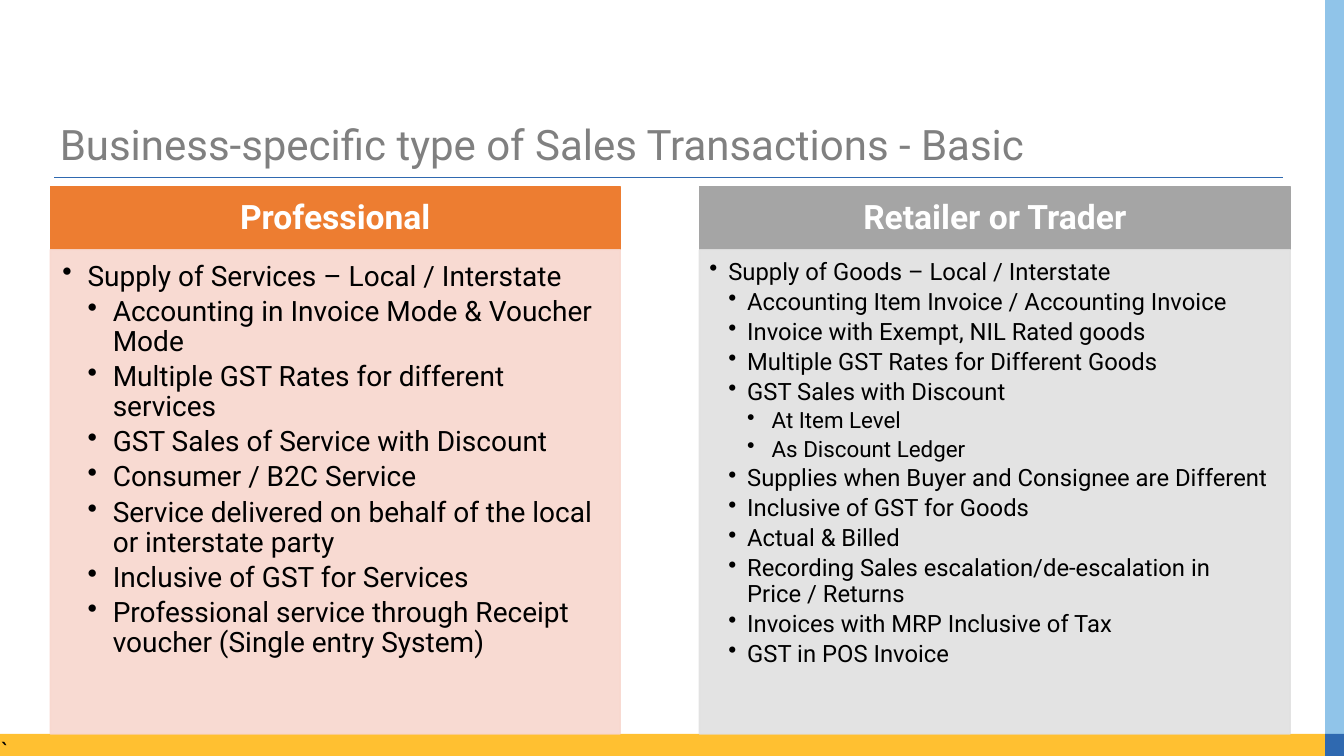
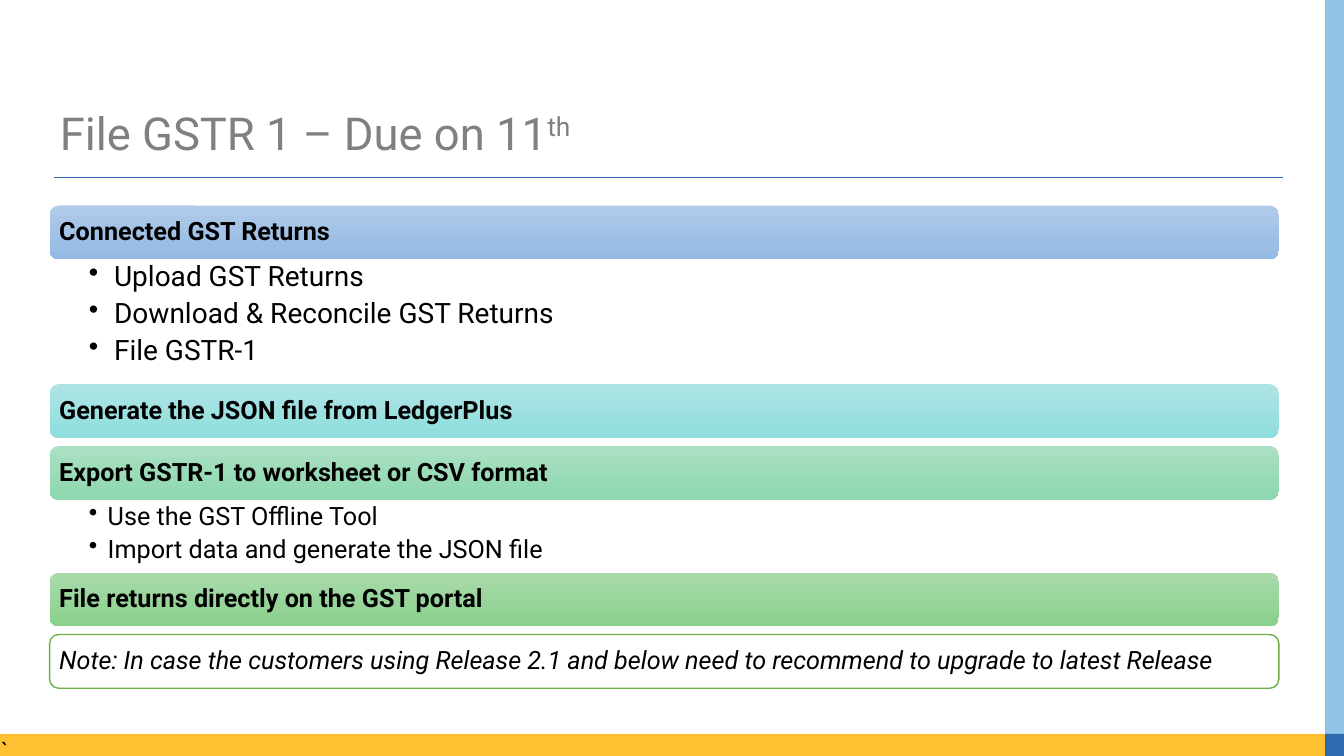
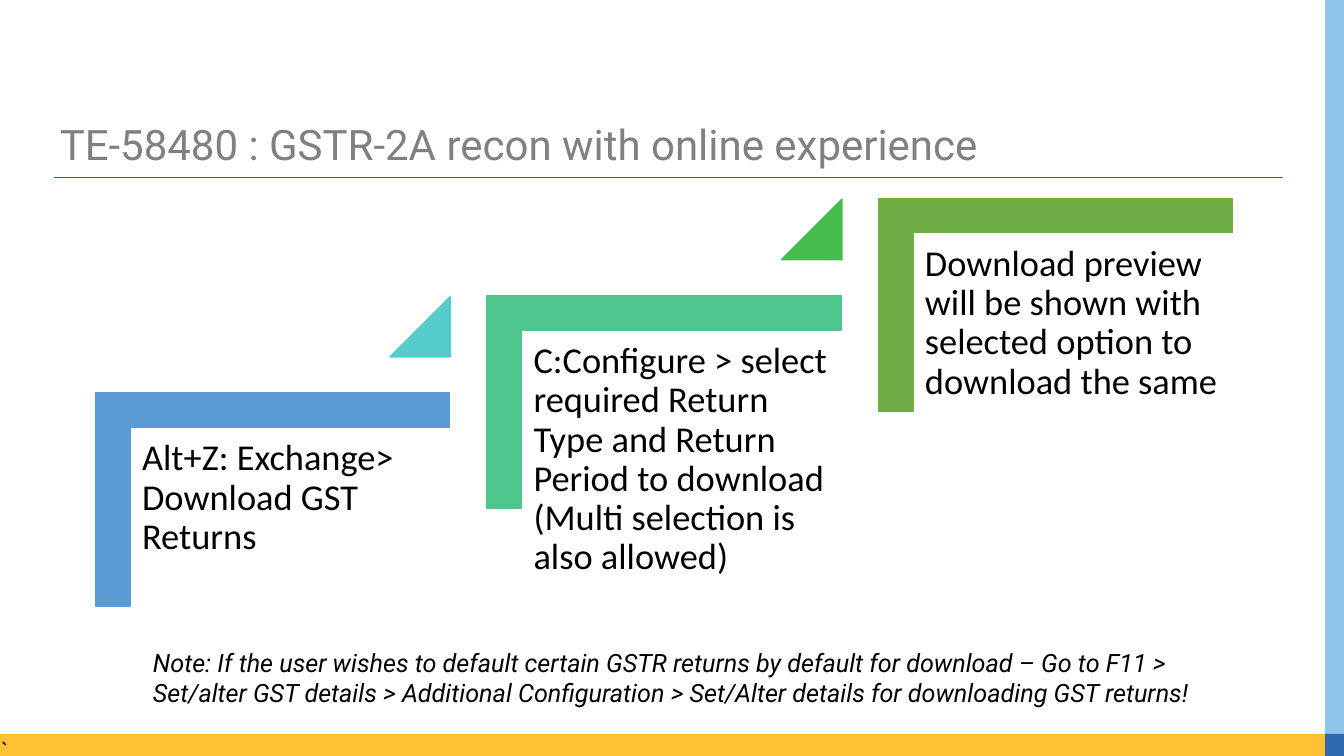
from dataclasses import dataclass

from lxml.etree import SubElement
from pptx import Presentation
from pptx.dml.color import RGBColor as RGB
from pptx.enum.shapes import MSO_CONNECTOR as Connector, MSO_SHAPE as Kind
from pptx.enum.text import MSO_ANCHOR as Anchor, MSO_AUTO_SIZE as AutoSize, PP_ALIGN as Align
from pptx.oxml.ns import qn
from pptx.util import Pt


@dataclass(frozen=True)
class Theme:
    font: str = "Roboto"
    step_font: str = "Calibri"
    text: str = "000000"
    white: str = "FFFFFF"
    title: str = "808080"
    blue: str = "2F69B0"
    sky: str = "90C4E9"
    amber: str = "FFC031"
    orange: str = "ED7D31"
    peach: str = "F8D7CE"
    grey: str = "A5A5A5"
    pale_grey: str = "E1E1E1"
    green: str = "70AD47"
    bars: tuple = (("B1CBE9", "93B9E4"), ("AEE4E5", "8FDEDE"),
                   ("ABE0C3", "8CD8AF"), ("A9DAAB", "89D18C"))
    steps: tuple = ("5B9BD5", "4DC58D", "70AD47")
    triangles: tuple = ("54CCCD", "48BB4F")
    title_size: float = 30
    large_title_size: float = 32.4
    step_size: float = 26
    header_size: float = 24
    list_size: float = 20
    body_size: float = 18
    compact_size: float = 17
    detail_size: float = 16


theme = Theme()


def write(shape, lines, size=theme.body_size, font=theme.font, color=theme.text, bold=False,
          italic=False, align=Align.LEFT, anchor=Anchor.TOP, margins=(7.2, 3.6, 7.2, 3.6),
          spacing=0.9, gap=0, levels=None, superscript=None):
    """Fill a shape; lines are (level, text), levels are (left, hang, size) of bullets."""
    frame = shape.text_frame
    frame.word_wrap = True
    frame.auto_size = AutoSize.NONE
    frame.vertical_anchor = anchor
    (frame.margin_left, frame.margin_top,
     frame.margin_right, frame.margin_bottom) = map(Pt, margins)
    for index, (level, text) in enumerate(lines):
        paragraph = frame.add_paragraph() if index else frame.paragraphs[0]
        paragraph.alignment = align
        paragraph.line_spacing = spacing
        paragraph.space_before = Pt(0)
        paragraph.space_after = Pt(gap)
        run_size = size
        if levels:
            left, hang, run_size = levels[level]
            paragraph.level = level
            properties = paragraph._p.get_or_add_pPr()
            properties.set("marL", str(Pt(left)))
            properties.set("indent", str(-Pt(hang)))
            SubElement(properties, qn("a:buChar"), char="•")
        for part in filter(None, (text, superscript)):
            run = paragraph.add_run()
            run.text = part
            run.font.name, run.font.size = font, Pt(run_size)
            run.font.bold, run.font.italic = bold, italic
            run.font.color.rgb = RGB.from_string(color)
            if part == superscript:
                run._r.get_or_add_rPr().set("baseline", "30000")


def add_block(slide, kind, left, top, width, height, fill, line=None):
    """Add a preset shape; a pair of fills makes a gradient from top to bottom."""
    block = slide.shapes.add_shape(kind, Pt(left), Pt(top), Pt(width), Pt(height))
    block.shadow.inherit = False
    if isinstance(fill, tuple):
        block.fill.gradient()
        block.fill.gradient_angle = 270
        for stop, color in zip(block.fill.gradient_stops, fill):
            stop.color.rgb = RGB.from_string(color)
    else:
        block.fill.solid()
        block.fill.fore_color.rgb = RGB.from_string(fill)
    if line:
        block.line.color.rgb = RGB.from_string(line)
        block.line.width = Pt(1)
    else:
        block.line.fill.background()
    return block


prs = Presentation()
prs.slide_width, prs.slide_height = Pt(960), Pt(540)
layout = prs.slide_layouts[5]

# Slides and titles
for holder in list(layout.placeholders)[1:]:
    holder.element.getparent().remove(holder.element)
titles = [
    ("Business-specific type of Sales Transactions - Basic", None, 85, theme.title_size),
    ("File GSTR 1 – Due on 11", "th", 75.6, theme.large_title_size),
    ("TE-58480 : GSTR-2A recon with online experience", None, 85, theme.title_size),
]
slides = []
for text, superscript, top, size in titles:
    slide = prs.slides.add_slide(layout)
    title = slide.shapes.title
    title.left, title.top, title.width, title.height = Pt(35.5), Pt(top), Pt(878), Pt(121 - top)
    write(title, [(0, text)], size=size, color=theme.title, superscript=superscript)
    slides.append(slide)
sales, filing, recon = slides

# Title rule and edge bands, shared through the layout
rule = sales.shapes.add_connector(Connector.STRAIGHT, Pt(38.9), Pt(126.7), Pt(916.6), Pt(126.7))
rule.line.color.rgb = RGB.from_string(theme.blue)
rule.line.width = Pt(0.82)
SubElement(rule.element.spPr, qn("a:effectLst"))
footer = add_block(sales, Kind.RECTANGLE, 0, 524.2, 954, 15.8, theme.amber)
write(footer, [(0, "`")], font=theme.step_font, margins=(0, 0, 0, 0), spacing=1.0)
side = add_block(sales, Kind.RECTANGLE, 946.6, 0, 13.4, 535, theme.sky)
corner = add_block(sales, Kind.RECTANGLE, 946.6, 524.2, 13.4, 15.8, theme.blue)
for shared in (rule, footer, side, corner):
    layout.shapes.element.append(shared.element)

# Slide 1: two business types
columns = [
    ("Professional", 36, 407, theme.orange, theme.peach, (8.6, 8.6, 11.5, 12.2), 3.5,
     [(18, 18, theme.list_size), (36, 18, theme.list_size)],
     [(0, "Supply of Services – Local / Interstate"),
      (1, "Accounting in Invoice Mode & Voucher Mode"),
      (1, "Multiple GST Rates for different services"),
      (1, "GST Sales of Service with Discount"),
      (1, "Consumer / B2C Service"),
      (1, "Service delivered on behalf of the local or interstate party"),
      (1, "Inclusive of GST for Services"),
      (1, "Professional service through Receipt voucher (Single entry System)")]),
    ("Retailer or Trader", 499.6, 422, theme.grey, theme.pale_grey, (7.2, 7.2, 9.4, 10.8), 3,
     [(13.5, 13.5, theme.compact_size), (27, 13.5, theme.compact_size),
      (44.5, 17.5, theme.detail_size)],
     [(0, "Supply of Goods – Local / Interstate"),
      (1, "Accounting Item Invoice / Accounting Invoice"),
      (1, "Invoice with Exempt, NIL Rated goods"),
      (1, "Multiple GST Rates for Different Goods"),
      (1, "GST Sales with Discount"),
      (2, "At Item Level"),
      (2, "As Discount Ledger"),
      (1, "Supplies when Buyer and Consignee are Different"),
      (1, "Inclusive of GST for Goods"),
      (1, "Actual & Billed"),
      (1, "Recording Sales escalation/de-escalation in Price / Returns"),
      (1, "Invoices with MRP Inclusive of Tax"),
      (1, "GST in POS Invoice")]),
]
for heading, left, width, color, tint, margins, gap, levels, lines in columns:
    header = add_block(sales, Kind.RECTANGLE, left, 133.2, width, 45.2, color, color)
    write(header, [(0, heading)], size=theme.header_size, color=theme.white, bold=True,
          align=Align.CENTER, anchor=Anchor.MIDDLE, margins=(13.7, 7.9, 13.7, 7.9))
    body = add_block(sales, Kind.RECTANGLE, left, 178.4, width, 345.8, tint, tint)
    for paint in list(body.element.spPr.iter(qn("a:srgbClr"))):
        SubElement(paint, qn("a:alpha"), val="90000")
    write(body, lines, margins=margins, gap=gap, levels=levels)

# Slide 2: ways of filing, stacked from the top
bar_left, bar_width, bar_height, bar_gap = 35.5, 878, 38.4, 5.8
large, small = (18, 18, theme.list_size), (13.5, 13.5, theme.body_size)
ways = [
    ("Connected GST Returns", 89.2, large, 4.7,
     ["Upload GST Returns", "Download & Reconcile GST Returns", "File GSTR-1"]),
    ("Generate the JSON file from LedgerPlus", bar_gap, None, 0, []),
    ("Export GSTR-1 to worksheet or CSV format", 52, small, 4.2,
     ["Use the GST Offline Tool", "Import data and generate the JSON file"]),
    ("File returns directly on the GST portal", bar_gap, None, 0, []),
]
bar_text = dict(anchor=Anchor.MIDDLE, margins=(5, 5, 5, 5))
top = 146.8
for (heading, below, level, gap, actions), colors in zip(ways, theme.bars):
    bar = add_block(filing, Kind.ROUNDED_RECTANGLE, bar_left, top, bar_width, bar_height, colors)
    write(bar, [(0, heading)], bold=True, **bar_text)
    top += bar_height
    if actions:
        action_list = filing.shapes.add_textbox(Pt(bar_left), Pt(top), Pt(bar_width), Pt(below))
        write(action_list, [(0, action) for action in actions], levels=[level], gap=gap,
              margins=(28, 2.5, 12, 2.5))
    top += below
note = add_block(filing, Kind.ROUNDED_RECTANGLE, bar_left, top, bar_width, bar_height,
                 theme.white, theme.green)
write(note, [(0, "Note: In case the customers using Release 2.1 and below need to recommend "
                 "to upgrade to latest Release")], italic=True, **bar_text)

# Slide 3: rising steps
step_run, step_rise = 279.6, 69.5
step_width, step_height, thickness = 252.8, 152, 24.5
steps = [
    "Alt+Z: Exchange> Download GST Returns",
    "C:Configure > select required Return Type and Return Period to download "
    "(Multi selection is also allowed)",
    "Download preview will be shown with selected option to download the same",
]
for index, (text, color) in enumerate(zip(steps, theme.steps)):
    across, up = index * step_run, index * step_rise
    left, top = 68.4 + across, 280.8 - up
    right, bottom = left + step_width, top + step_height
    inner_left, inner_top = left + thickness, top + thickness
    outline = recon.shapes.build_freeform(Pt(left), Pt(top))
    outline.add_line_segments([(Pt(x), Pt(y)) for x, y in (
        (right, top), (right, inner_top), (inner_left, inner_top),
        (inner_left, bottom), (left, bottom))])
    bracket = outline.convert_to_shape()
    bracket.shadow.inherit = False
    bracket.fill.solid()
    bracket.fill.fore_color.rgb = bracket.line.color.rgb = RGB.from_string(color)
    bracket.line.width = Pt(1)
    label = recon.shapes.add_textbox(Pt(93.6 + across), Pt(306 - up), Pt(228), Pt(200))
    write(label, [(0, text)], size=theme.step_size, font=theme.step_font,
          margins=(7.9, 7.9, 7.9, 7.9))
    if index < len(theme.triangles):
        accent = theme.triangles[index]
        triangle = add_block(recon, Kind.ISOSCELES_TRIANGLE, 278.6 + across, 211.8 - up,
                             43.2, 43.2, accent, accent)
        triangle.adjustments[0] = 1
tip = recon.shapes.add_textbox(Pt(102.2), Pt(458.6), Pt(766), Pt(51))
write(tip, [(0, "Note: If the user wishes to default certain GSTR returns by default for download "
                "– Go to F11 > Set/alter GST details > Additional Configuration > Set/Alter "
                "details for downloading GST returns!")], italic=True, spacing=1.0)

prs.save("out.pptx")
